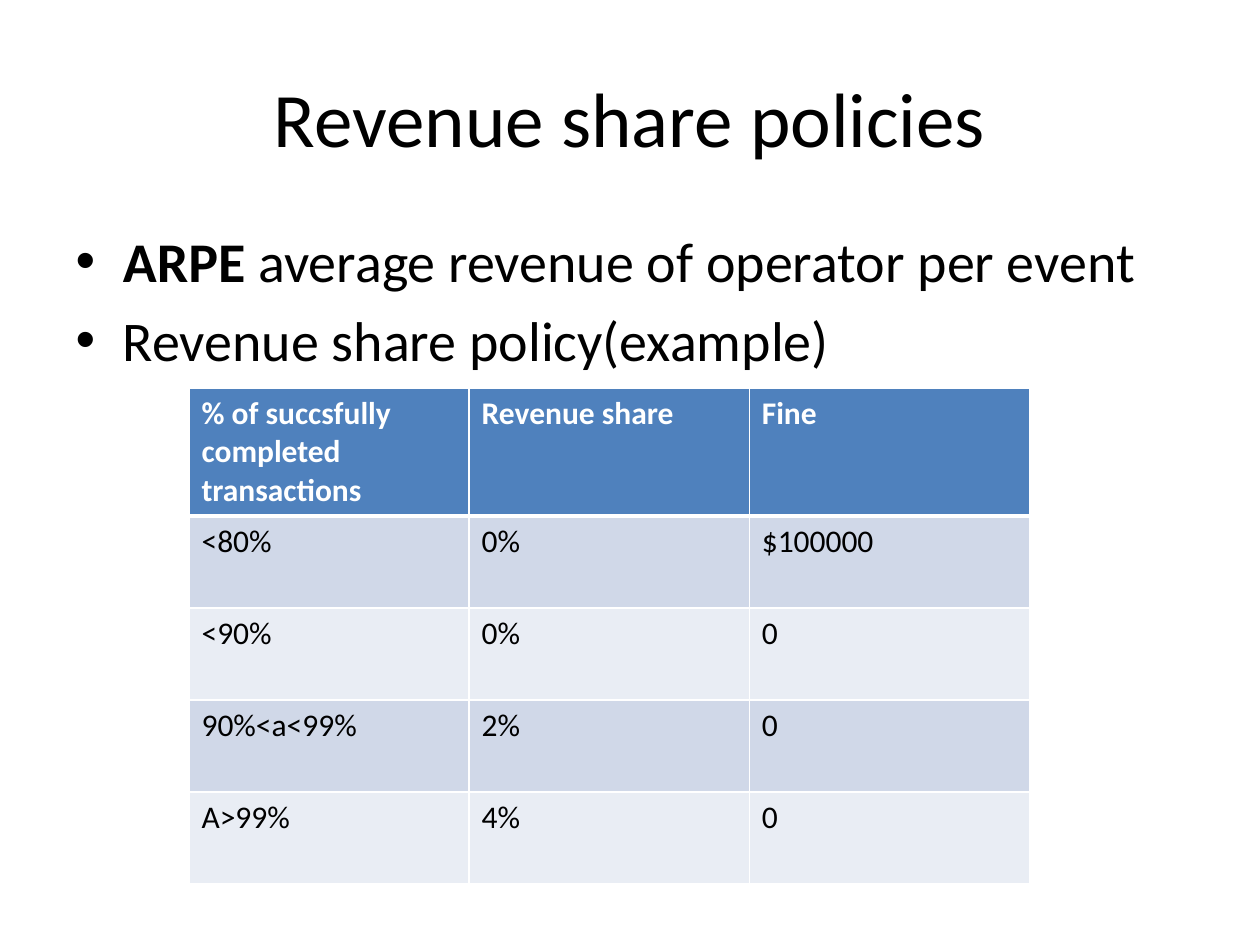
from pptx import Presentation
from pptx.dml.color import RGBColor
from pptx.enum.text import MSO_ANCHOR, PP_ALIGN
from pptx.oxml import parse_xml
from pptx.oxml.ns import nsdecls
from pptx.util import Inches, Pt

# Content
TITLE = "Revenue share policies"
POINTS = [
    [("ARPE", True), (" average revenue of operator per event", False)],
    [("Revenue share policy(example)", False)],
]
ROWS = [
    ("% of succsfully completed transactions", "Revenue share", "Fine"),
    ("<80%", "0%", "$100000"),
    ("<90%", "0%", "0"),
    ("90%<a<99%", "2%", "0"),
    ("A>99%", "4%", "0"),
]

# Style
FONT = "Calibri"
BLACK, WHITE, HEAD = "000000", "FFFFFF", "4F81BD"
BANDS = ("D0D8E8", "E9EDF4")


def color(code):
    return RGBColor.from_string(code)


def add_run(para, text, size, code=BLACK, bold=False):
    run = para.add_run()
    run.text = text
    font = run.font
    font.name, font.size, font.bold = FONT, Pt(size), bold
    font.color.rgb = color(code)


def place(shape, left, top, width, height):
    shape.left, shape.top = Inches(left), Inches(top)
    shape.width, shape.height = Inches(width), Inches(height)


def add_edge(cell, side, width):
    props = cell._tc.get_or_add_tcPr()
    line = parse_xml(
        f'<a:{side} {nsdecls("a")} w="{Pt(width)}"><a:solidFill>'
        f'<a:srgbClr val="{WHITE}"/></a:solidFill></a:{side}>')
    props.append(line)


deck = Presentation()
deck.slide_width, deck.slide_height = Inches(10), Inches(7.5)
slide = deck.slides.add_slide(deck.slide_layouts[1])

# Title
title = slide.shapes.title
place(title, 0.5, 0.3, 9, 1.25)
title.text_frame.vertical_anchor = MSO_ANCHOR.MIDDLE
para = title.text_frame.paragraphs[0]
para.alignment = PP_ALIGN.CENTER
add_run(para, TITLE, 44)

# Bullet list
body = slide.placeholders[1]
place(body, 0.5, 1.75, 9, 1.42)
frame = body.text_frame
for i, runs in enumerate(POINTS):
    para = frame.add_paragraph() if i else frame.paragraphs[0]
    para.space_before = Pt(6.4 if i else 0)
    for text, bold in runs:
        add_run(para, text, 32, bold=bold)

# Policy table
grid = slide.shapes.add_table(
    len(ROWS), len(ROWS[0]),
    Inches(1.5), Inches(3.08), Inches(6.67), Inches(3.92)).table
for r, row in enumerate(ROWS):
    top = r == 0
    grid.rows[r].height = Inches(0.75 if top else 0.73)
    for c, text in enumerate(row):
        cell = grid.cell(r, c)
        for side in ("lnL", "lnR", "lnT", "lnB"):
            thick = (top and side == "lnB") or (r == 1 and side == "lnT")
            add_edge(cell, side, 3 if thick else 1)
        cell.fill.solid()
        cell.fill.fore_color.rgb = color(HEAD if top else BANDS[(r - 1) % 2])
        add_run(cell.text_frame.paragraphs[0], text, 18,
                WHITE if top else BLACK, top)

deck.save("out.pptx")
